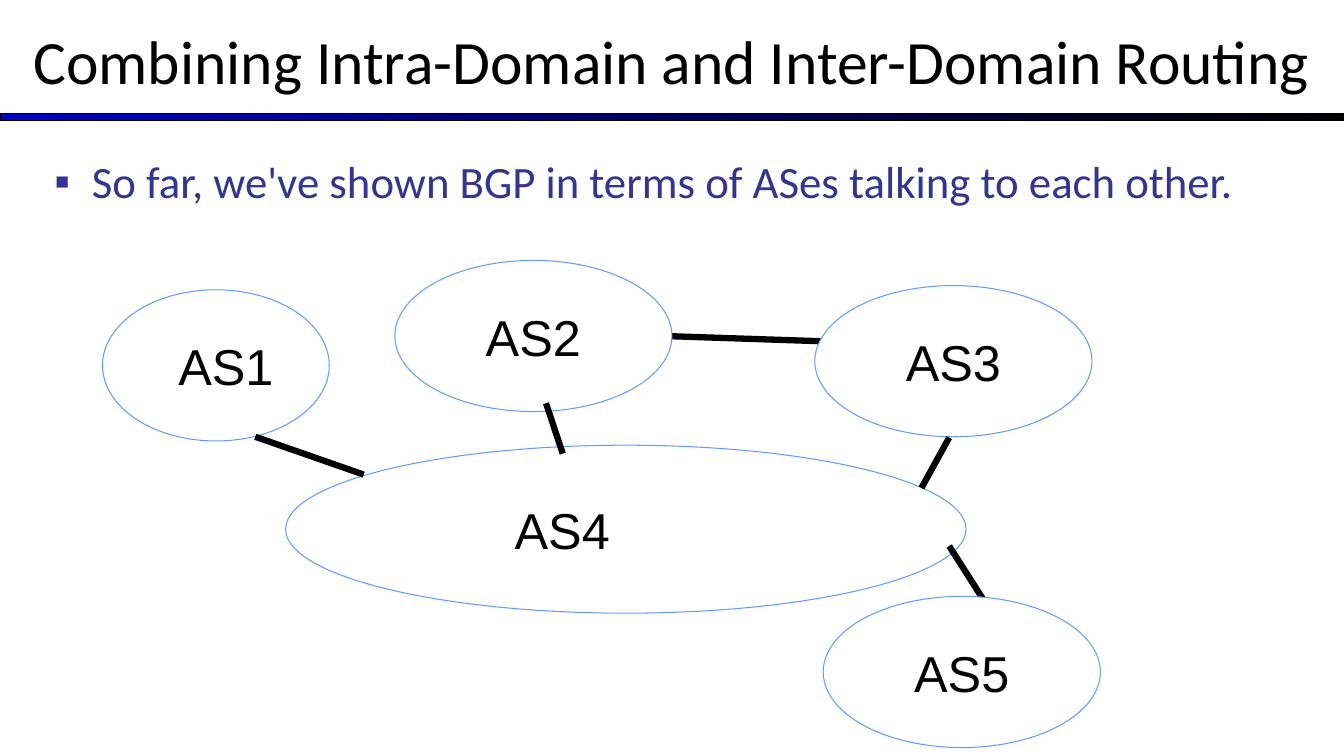
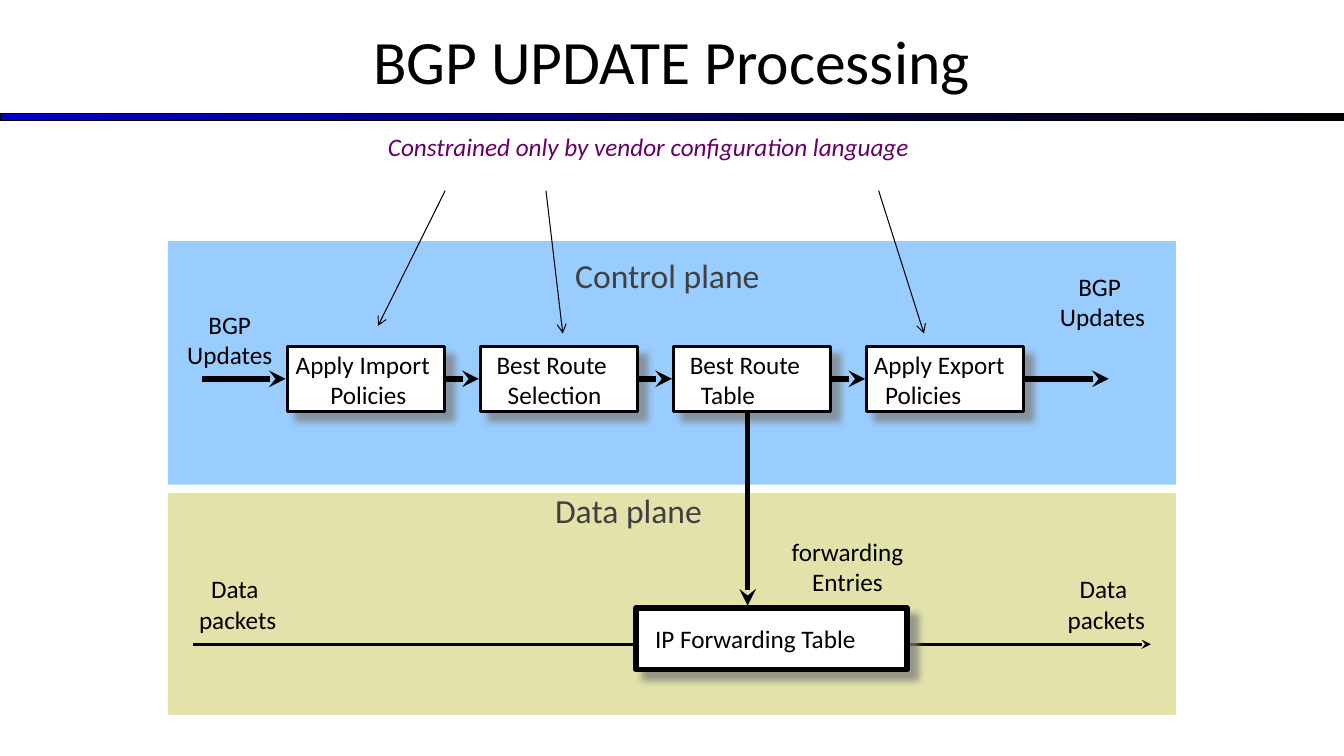
import dataclasses

import lxml.etree
import pptx
import pptx.dml.color
import pptx.enum.shapes
import pptx.enum.text
import pptx.oxml
import pptx.oxml.ns
import pptx.util

SHAPE = pptx.enum.shapes.MSO_SHAPE
ALIGN = pptx.enum.text.PP_ALIGN
ANCHOR = pptx.enum.text.MSO_ANCHOR
COLS, ROWS = 160, 90
CELL = pptx.util.Inches(7.5) / ROWS


@dataclasses.dataclass(frozen=True)
class Theme:
    ink: str = "000000"
    paper: str = "FFFFFF"
    band: str = "0000CC"
    body: str = "333399"
    outline: str = "6699FF"
    control: str = "99CCFF"
    data: str = "E2E2AA"
    heading: str = "404040"
    remark: str = "660066"
    shadow: str = "808080"
    font: str = "Calibri"
    node_font: str = "Arial"
    title_size: int = 44
    node_size: int = 36
    body_size: int = 32
    heading_size: int = 24
    label_size: int = 18
    hairline: float = 0.75


T = Theme()


@dataclasses.dataclass(frozen=True)
class Box:
    x: float
    y: float
    w: float
    h: float

    def sub(self, x, y, w, h):
        return Box(self.x + x, self.y + y, w, h)

    def point(self, x, y):
        return self.x + x, self.y + y

    def emu(self):
        return [cells(v) for v in (self.x, self.y, self.w, self.h)]


SLIDE = Box(0, 0, COLS, ROWS)


def cells(n):
    return pptx.util.Emu(round(n * CELL))


def rgb(value):
    return pptx.dml.color.RGBColor.from_string(value)


def write(tf, lines, size, color=T.ink, font=T.font, align=ALIGN.LEFT,
          italic=False, hang=0):
    for i, text in enumerate(lines):
        p = tf.paragraphs[0] if i == 0 else tf.add_paragraph()
        p.alignment = align
        if i and hang:
            p._p.get_or_add_pPr().set("marL", str(pptx.util.Pt(hang)))
        r = p.add_run()
        r.text = text
        r.font.name = font
        r.font.size = pptx.util.Pt(size)
        r.font.color.rgb = rgb(color)
        if italic:
            r.font.italic = True


def set_insets(tf, left, right, vertical):
    tf.margin_left, tf.margin_right = pptx.util.Inches(left), pptx.util.Inches(right)
    tf.margin_top = tf.margin_bottom = pptx.util.Inches(vertical)


def add_text(s, box, lines, size=T.label_size, wrap=False, **style):
    tf = s.shapes.add_textbox(*box.emu()).text_frame
    tf.word_wrap = wrap
    set_insets(tf, 0.1, 0.1, 0.05)
    write(tf, lines, size, **style)
    return tf


def add_shape(s, kind, box, fill, line=None, width=T.hairline):
    sp = s.shapes.add_shape(kind, *box.emu())
    sp.shadow.inherit = False
    sp.fill.solid()
    sp.fill.fore_color.rgb = rgb(fill)
    if line:
        sp.line.color.rgb = rgb(line)
        sp.line.width = pptx.util.Pt(width)
    else:
        sp.line.fill.background()
    return sp


def add_line(s, start, end, width, head=None):
    ends = [cells(v) for v in (*start, *end)]
    c = s.shapes.add_connector(pptx.enum.shapes.MSO_CONNECTOR.STRAIGHT, *ends)
    c.line.color.rgb = rgb(T.ink)
    c.line.width = pptx.util.Pt(width)
    qn = pptx.oxml.ns.qn
    if head:
        lxml.etree.SubElement(c.line._get_or_add_ln(), qn("a:tailEnd"), type=head)
    lxml.etree.SubElement(c.element.spPr, qn("a:effectLst"))


def cast_shadow(sp):
    qn = pptx.oxml.ns.qn
    effects = sp.element.spPr.find(qn("a:effectLst"))
    shadow = lxml.etree.SubElement(
        effects, qn("a:outerShdw"), blurRad=str(pptx.util.Pt(5)),
        dist=str(pptx.util.Pt(8.5)), dir="2700000", algn="ctr", rotWithShape="0")
    color = lxml.etree.SubElement(shadow, qn("a:srgbClr"), val=T.shadow)
    lxml.etree.SubElement(color, qn("a:alpha"), val="75000")


def add_titled_slide(prs, title):
    s = prs.slides.add_slide(prs.slide_layouts[5])
    band = add_shape(s, SHAPE.RECTANGLE, SLIDE.sub(0, 13.55, COLS, 0.85), T.band, T.ink)
    band.fill.gradient()
    band.fill.gradient_angle = 0
    for stop, color, position in zip(band.fill.gradient_stops, (T.band, T.ink), (0, 1)):
        stop.color.rgb = rgb(color)
        stop.position = position
    sp = s.shapes.title
    sp.left, sp.top, sp.width, sp.height = SLIDE.sub(0, -0.35, COLS, 15).emu()
    tf = sp.text_frame
    tf.auto_size = pptx.enum.text.MSO_AUTO_SIZE.NONE
    tf.word_wrap = True
    tf.vertical_anchor = ANCHOR.MIDDLE
    set_insets(tf, 0.1, 0.1, 0.05)
    write(tf, [title], T.title_size, align=ALIGN.CENTER)
    return s


def add_bullet(s, box, text):
    tf = add_text(s, box, [text], T.body_size, wrap=True, color=T.body)
    p = tf.paragraphs[0]
    p.line_spacing = 0.9
    pPr = p._p.get_or_add_pPr()
    indent = pptx.util.Inches(0.37)
    pPr.set("marL", str(indent))
    pPr.set("indent", str(-indent))
    qn = pptx.oxml.ns.qn
    color = lxml.etree.SubElement(pPr, qn("a:buClr"))
    lxml.etree.SubElement(color, qn("a:srgbClr"), val=T.body)
    lxml.etree.SubElement(pPr, qn("a:buFont"), typeface=T.node_font)
    lxml.etree.SubElement(pPr, qn("a:buChar"), char="▪")


def add_network(s, box):
    def node(name, x, y, w=33, h=18, left=0, right=0):
        sp = add_shape(s, SHAPE.OVAL, box.sub(x, y, w, h), T.paper, T.outline)
        tf = sp.text_frame
        tf.word_wrap = True
        tf.vertical_anchor = ANCHOR.MIDDLE
        set_insets(tf, left, right, 0)
        write(tf, [name], T.node_size, font=T.node_font, align=ALIGN.CENTER)

    def link(start, end):
        add_line(s, box.point(*start), box.point(*end), 4.5)

    node("AS4", 22, 22, 81, 20, right=1.26)
    link((67, 9), (97, 10))
    link((108, 45), (101, 34))
    node("AS1", 0.2, 3.5, 27, left=0.2)
    node("AS2", 35, 0)
    node("AS3", 85, 3)
    node("AS5", 86, 40)
    link((18.4, 21), (31.3, 25.5))
    link((53, 17), (55, 23))
    link((101, 21.1), (97.7, 27.1))


def add_step(s, box, lines, width=2, left=0.16, right=0, align=ALIGN.LEFT):
    sp = add_shape(s, SHAPE.RECTANGLE, box, T.paper, T.ink, width)
    cast_shadow(sp)
    tf = sp.text_frame
    tf.word_wrap = True
    tf.vertical_anchor = ANCHOR.MIDDLE
    set_insets(tf, left, right, 0)
    write(tf, lines, T.label_size, align=align, hang=8)


def add_plane(s, box, fill, title, title_box, labels):
    add_shape(s, SHAPE.RECTANGLE, box, fill)
    add_text(s, box.sub(*title_box), [title], T.heading_size, color=T.heading)
    for lines, x, y, w in labels:
        add_text(s, box.sub(x, y, w, 8.5), lines, align=ALIGN.CENTER)


def add_data_plane(s, box):
    packets = ["Data ", "packets"]
    add_plane(s, box, T.data, "Data plane", (44.9, -1, 20, 6),
              [(packets, 2.4, 9, 11.8), (packets, 105.8, 9, 11.8),
               (["forwarding", "Entries"], 73, 4.5, 15.8)])
    add_line(s, box.point(3, 18), box.point(117, 18), 2.25, "stealth")
    add_step(s, box.sub(55.7, 13.7, 32.3, 7.3), ["IP Forwarding Table"], 4, left=0.19)


def add_control_plane(s, box):
    add_plane(s, box, T.control, "Control plane", (47.3, 1, 24.6, 6),
              [(["BGP", "Updates"], 1, 7.5, 12.7),
               (["BGP ", "Updates"], 104.9, 3, 12.7)])
    steps = [
        (["Apply Import", "Policies"], dict(left=0, right=0.06, align=ALIGN.CENTER)),
        (["Best Route", "Selection"], {}),
        (["Best Route", "Table"], {}),
        (["Apply Export", "Policies"], dict(left=0.07)),
    ]
    pitch = 23
    for i, (lines, style) in enumerate(steps):
        add_step(s, box.sub(14.2 + pitch * i, 12.6, 18.7, 7.7), lines, **style)
    for i in range(len(steps) + 1):
        start = 10 + pitch * i if i else 4
        end = 14 + pitch * i if i < len(steps) else 112
        add_line(s, box.point(start, 16.4), box.point(end, 16.4), 4, "stealth")


def build_routing(prs):
    s = add_titled_slide(prs, "Combining Intra-Domain and Inter-Domain Routing")
    add_network(s, SLIDE.sub(12, 31, 119, 58))
    add_bullet(s, SLIDE.sub(5.3, 18.4, 148.7, 9.7),
               "So far, we've shown BGP in terms of ASes talking to each other.")


def build_processing(prs):
    s = add_titled_slide(prs, "BGP UPDATE Processing")
    add_control_plane(s, SLIDE.sub(20, 28.7, 120, 29))
    add_data_plane(s, SLIDE.sub(20, 58.7, 120, 26.4))
    add_line(s, (89, 49.2), (89, 72.1), 4, "stealth")
    add_text(s, SLIDE.sub(45, 15, 65.2, 4.8),
             ["Constrained only by vendor configuration language"],
             color=T.remark, italic=True)
    for x, end in ((53, (45, 38.8)), (65, (67, 39.7)), (104.6, (110, 39.7))):
        add_line(s, (x, 22.7), end, T.hairline, "arrow")


def main():
    prs = pptx.Presentation()
    prs.slide_width, prs.slide_height = cells(COLS), cells(ROWS)
    build_routing(prs)
    build_processing(prs)
    prs.save("out.pptx")


if __name__ == "__main__":
    main()
